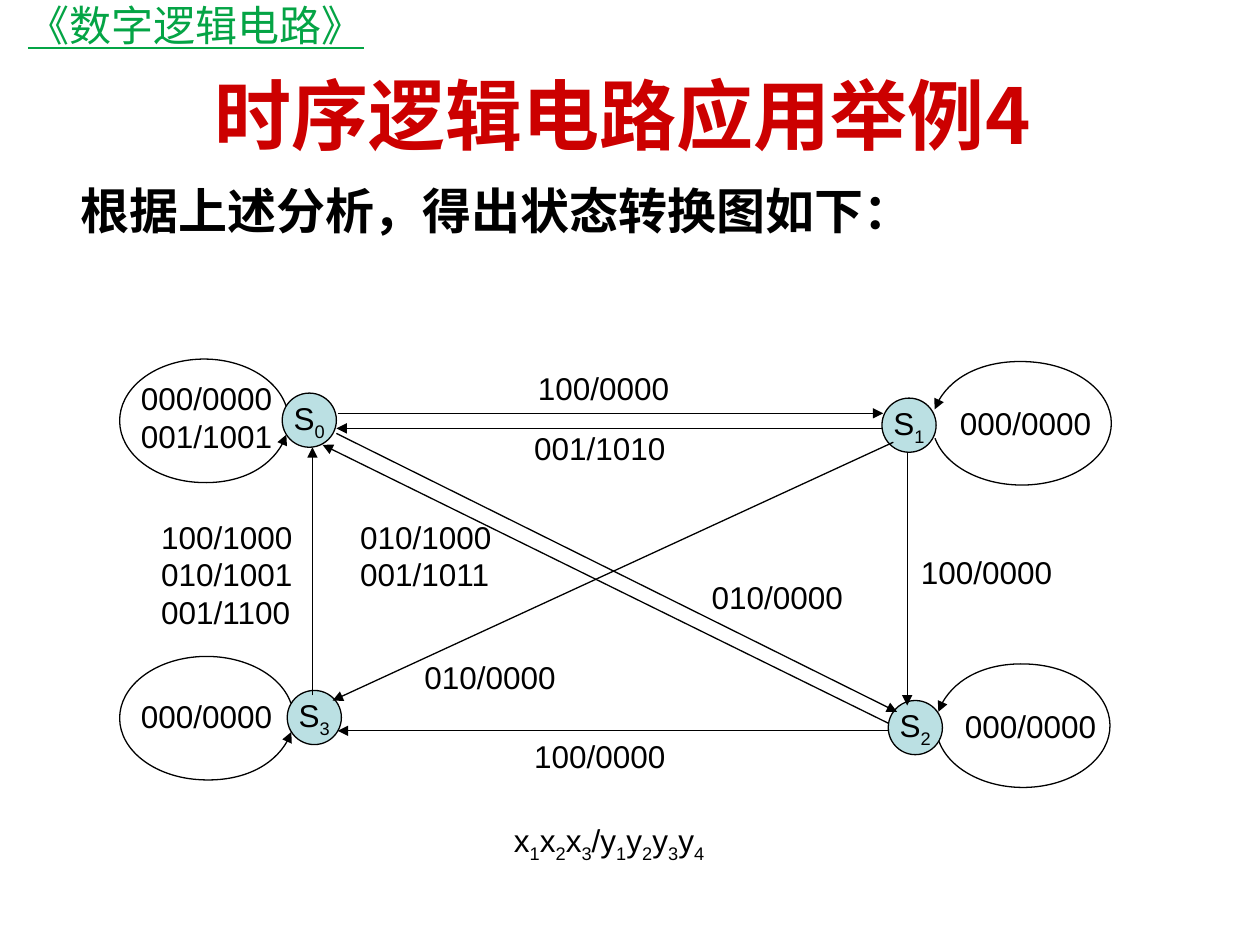
import math
import pptx
import pptx.util
import pptx.dml.color
import pptx.enum.shapes
import pptx.enum.text
import pptx.oxml
import pptx.oxml.ns

Inches, Pt = pptx.util.Inches, pptx.util.Pt
RGB = pptx.dml.color.RGBColor
ALIGN = pptx.enum.text.PP_ALIGN
ANCHOR = pptx.enum.text.MSO_ANCHOR
KINDS = pptx.enum.shapes
SPACE = pptx.oxml.ns.nsdecls("a")

BLACK = RGB(0, 0, 0)
RED = RGB(0xCC, 0, 0)
GREEN = RGB(0x04, 0xA4, 0x45)
TEAL = RGB(0xBB, 0xE0, 0xE3)
CJK = "Noto Sans CJK SC"
NODE = 0.43   # state diameter
LINE = 0.3    # label line height
RY = 0.49     # half height of each self loop

# box, text, size, font, colour, bold, underline, align
HEADS = [
    ((0.51, 0.28, 9, 1.25), "时序逻辑电路应用举例4 ", 44, CJK, RED, True, False, ALIGN.CENTER),
    ((0, 0, 3.11, 0.39), "《数字逻辑电路》", 24, CJK, GREEN, False, True, ALIGN.CENTER),
    ((0.54, 1.38, 6.86, 0.57), "根据上述分析，得出状态转换图如下：", 28, "Arial", BLACK, True, False, ALIGN.LEFT),
]
# name, left, top
STATES = [("S0", 2.24, 3.12), ("S1", 7, 3.16), ("S3", 2.28, 5.48), ("S2", 7.05, 5.56)]
# centre x, centre y, half width, side (1: left of its state, -1: right)
LOOPS = [(1.62, 3.34, 0.67, 1), (8.11, 3.36, 0.71, -1),
         (8.12, 5.76, 0.69, -1), (1.64, 5.7, 0.69, 1)]
# from x, from y, to x, to y
ARROWS = [
    (7.2, 3.59, 7.2, 5.6), (2.48, 5.52, 2.48, 3.55), (7.05, 5.74, 2.56, 3.53),
    (7, 3.4, 2.67, 3.4), (7.05, 5.8, 2.68, 5.8), (2.68, 3.28, 7.01, 3.28),
    (2.67, 3.44, 7.12, 5.65), (7.09, 3.51, 2.64, 5.56),
]
# left, top, lines
LABELS = [
    (1.02, 2.96, "000/0000\n001/1001"), (7.52, 3.16, "000/0000"),
    (1.02, 5.48, "000/0000"), (7.56, 5.56, "000/0000"),
    (4.17, 2.88, "100/0000"), (4.14, 3.36, "001/1010"),
    (1.18, 4.06, "100/1000\n010/1001\n001/1100"), (2.76, 4.06, "010/1000\n001/1011"),
    (5.55, 4.54, "010/0000"), (7.21, 4.34, "100/0000"),
    (3.27, 5.17, "010/0000"), (4.14, 5.8, "100/0000"),
]
LEGEND = (3.98, 6.47, 1.71, 0.44), "x1x2x3/y1y2y3y4"

deck = pptx.Presentation()
deck.slide_width, deck.slide_height = Inches(10), Inches(7.5)
shapes = deck.slides.add_slide(deck.slide_layouts[6]).shapes


def style(run, size=18, font="Arial", color=BLACK, bold=False, under=False):
    face = run.font
    face.size, face.name, face.bold = Pt(size), font, bold
    face.underline = under
    face.color.rgb = color
    if font == CJK:
        east = pptx.oxml.parse_xml('<a:ea %s typeface="%s"/>' % (SPACE, CJK))
        run._r.get_or_add_rPr().find(pptx.oxml.ns.qn("a:latin")).addnext(east)


def text_box(box, text, wrap=False):
    frame = shapes.add_textbox(*map(Inches, box)).text_frame
    frame.word_wrap = wrap
    frame.text = text
    return frame


def index(para, text):
    """Write text with each digit as a subscript."""
    for char in text:
        run = para.add_run()
        run.text = char
        style(run)
        if char.isdigit():
            run._r.get_or_add_rPr().set("baseline", "-25000")


def ink(shape, arrow=True):
    shape.line.color.rgb = BLACK
    shape.line.width = Pt(0.75)
    if arrow:
        shape.line._get_or_add_ln().append(pptx.oxml.parse_xml(
            '<a:tailEnd %s type="triangle"/>' % SPACE))


def add_loop(x, y, rx, side):
    """Draw an open ellipse of four curves that leaves a state and returns to it."""
    start, end, count = 14, 347, 4
    step = math.radians(end - start) / count
    turns = [math.radians(start) + i * step for i in range(count + 1)]
    pull = 4 / 3 * math.tan(step / 4)

    def spot(turn, bend=0):
        """Point at a turn, moved along the tangent by bend."""
        across = math.cos(turn) - bend * math.sin(turn)
        up = math.sin(turn) + bend * math.cos(turn)
        return Inches(x + side * rx * across), Inches(y - side * RY * up)

    dots = [spot(turn) for turn in turns]
    pen = shapes.build_freeform(*dots[0])
    pen.add_line_segments(dots[1:], close=False)
    loop = pen.convert_to_shape()
    legs = list(loop._element.iter(pptx.oxml.ns.qn("a:lnTo")))
    for leg, here, there in zip(legs, turns, turns[1:]):
        knots = spot(here, pull), spot(there, -pull), spot(there)
        marks = "".join('<a:pt x="%d" y="%d"/>' % (h - loop.left, v - loop.top)
                        for h, v in knots)
        curve = pptx.oxml.parse_xml(
            "<a:cubicBezTo %s>%s</a:cubicBezTo>" % (SPACE, marks))
        leg.getparent().replace(leg, curve)
    loop.shadow.inherit = False
    loop.fill.background()
    ink(loop)


for box, text, size, font, color, bold, under, align in HEADS:
    frame = text_box(box, text, wrap=align == ALIGN.CENTER)
    frame.vertical_anchor = ANCHOR.MIDDLE
    para = frame.paragraphs[0]
    para.alignment = align
    style(para.runs[0], size, font, color, bold, under)

for name, x, y in STATES:
    node = shapes.add_shape(KINDS.MSO_SHAPE.OVAL, *map(Inches, (x, y, NODE, NODE)))
    node.shadow.inherit = False
    node.fill.solid()
    node.fill.fore_color.rgb = TEAL
    ink(node, arrow=False)
    frame = node.text_frame
    frame.word_wrap = False
    frame.vertical_anchor = ANCHOR.MIDDLE
    frame.paragraphs[0].alignment = ALIGN.CENTER
    index(frame.paragraphs[0], name)

for loop in LOOPS:
    add_loop(*loop)

for ends in ARROWS:
    arrow = shapes.add_connector(KINDS.MSO_CONNECTOR.STRAIGHT, *map(Inches, ends))
    ink(arrow)
    arrow._element.spPr.append(pptx.oxml.parse_xml("<a:effectLst %s/>" % SPACE))

for x, y, text in LABELS:
    rows = text.count("\n") + 1
    for para in text_box((x, y, 1.24, 0.1 + rows * LINE), text).paragraphs:
        style(para.runs[0])

box, text = LEGEND
index(text_box(box, "").paragraphs[0], text)

deck.save("out.pptx")
